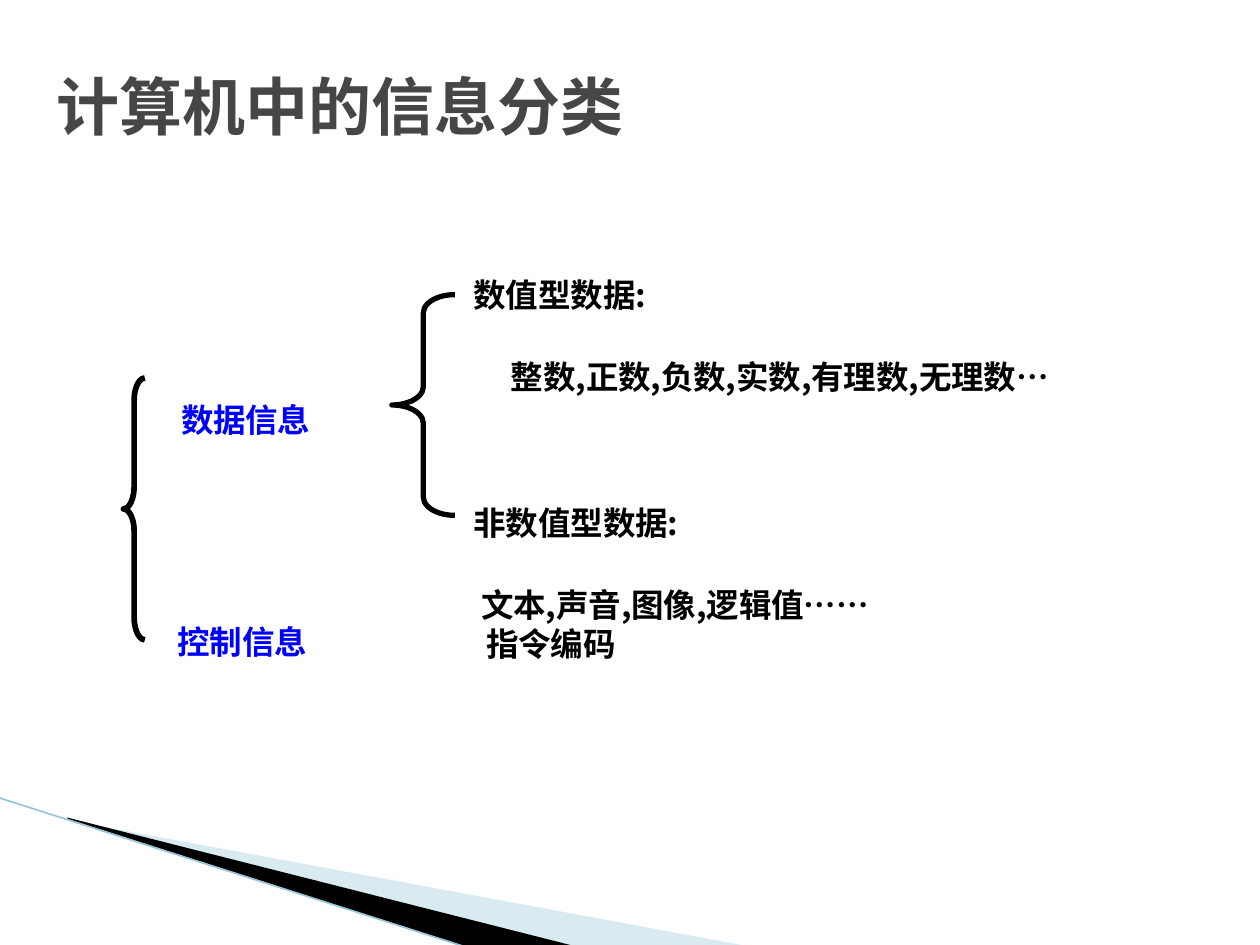
from dataclasses import dataclass

from lxml.etree import SubElement
from pptx import Presentation
from pptx.dml.color import RGBColor
from pptx.enum.shapes import MSO_CONNECTOR, MSO_SHAPE
from pptx.enum.text import MSO_ANCHOR, MSO_AUTO_SIZE
from pptx.oxml.ns import qn
from pptx.util import Cm, Pt


@dataclass(frozen=True)
class Theme:
    ink: str = "000000"
    title: str = "464646"
    category: str = "0000FF"
    pale: str = "A0CBDC"
    edge: str = "97C5D8"
    title_size: int = 36
    body_size: int = 32
    title_font: str = "Noto Sans Mono"
    body_font: str = "Noto Sans CJK SC"


def write_text(paragraph, text, *, size, color, font, subscript=False,
               line_spacing=None, indent=0):
    run = paragraph.add_run()
    run.text = text
    run.font.size = Pt(size)
    run.font.bold = True
    run.font.name = font
    run.font.color.rgb = RGBColor.from_string(color)
    run_properties = run._r.get_or_add_rPr()
    SubElement(run_properties, qn("a:ea")).set("typeface", font)
    if subscript:
        run_properties.set("baseline", "-25000")
        paragraph.space_before = Pt(0)
        spacing = paragraph._p.pPr.find(qn("a:spcBef"))
        spacing.remove(spacing[0])
        SubElement(spacing, qn("a:spcPct")).set("val", "50000")
    if line_spacing:
        paragraph.line_spacing = line_spacing
    if indent:
        paragraph._p.get_or_add_pPr().set("marL", str(Cm(indent)))


class SlideBuilder:
    """Draws styled elements on the current slide."""

    def __init__(self, slide, theme):
        self.slide = slide
        self.theme = theme

    def text_frame(self, box):
        frame = self.slide.shapes.add_textbox(*map(Cm, box)).text_frame
        frame.word_wrap = True
        return frame

    def title(self, text, box):
        frame = self.text_frame(box)
        frame.vertical_anchor = MSO_ANCHOR.MIDDLE
        write_text(frame.paragraphs[0], text, size=self.theme.title_size,
                   color=self.theme.title, font=self.theme.title_font)

    def label(self, lines, box, color, line_spacing=None):
        frame = self.text_frame(box)
        frame.auto_size = MSO_AUTO_SIZE.SHAPE_TO_FIT_TEXT
        for index, (text, indent) in enumerate(lines):
            paragraph = frame.add_paragraph() if index else frame.paragraphs[0]
            write_text(paragraph, text, size=self.theme.body_size, color=color,
                       font=self.theme.body_font, subscript=True,
                       line_spacing=line_spacing, indent=indent)

    def brace(self, box, curve, width):
        shape = self.slide.shapes.add_shape(MSO_SHAPE.LEFT_BRACE, *map(Cm, box))
        shape.shadow.inherit = False
        shape.adjustments[0] = curve
        shape.fill.background()
        shape.line.color.rgb = RGBColor.from_string(self.theme.ink)
        shape.line.width = Pt(width)

    def wedge(self, points, color, opacity=None):
        start, *rest = [(Cm(x), Cm(y)) for x, y in points]
        builder = self.slide.shapes.build_freeform(*start)
        builder.add_line_segments(rest, close=True)
        shape = builder.convert_to_shape()
        shape.shadow.inherit = False
        shape.line.fill.background()
        shape.fill.solid()
        shape.fill.fore_color.rgb = RGBColor.from_string(color)
        if opacity:
            fill_color = shape._element.spPr.find(qn("a:solidFill"))[0]
            SubElement(fill_color, qn("a:alpha")).set("val", str(opacity * 1000))

    def line(self, ends, color, width):
        connector = self.slide.shapes.add_connector(
            MSO_CONNECTOR.STRAIGHT, *map(Cm, ends))
        connector.line.color.rgb = RGBColor.from_string(color)
        connector.line.width = Pt(width)
        SubElement(connector._element.spPr, qn("a:effectLst"))


def main():
    theme = Theme()
    presentation = Presentation()
    presentation.slide_width, presentation.slide_height = Cm(25.4), Cm(19.05)
    slide = presentation.slides.add_slide(presentation.slide_layouts[6])
    builder = SlideBuilder(slide, theme)

    builder.wedge([(1.4, 16.54), (15.11, 19.08), (11.58, 19.08), (1.4, 16.51)],
                  theme.pale, opacity=40)
    builder.wedge([(1.35, 16.48), (11.61, 19.08), (9.45, 19.1), (1.37, 16.51)],
                  theme.ink)
    builder.line((-0.03, 16.08, 9.42, 19.1), theme.edge, 0.95)

    builder.title("计算机中的信息分类", (0.89, 0.53, 21.21, 3.18))
    builder.label([("数据信息", 0)], (3.4, 7.19, 5.08, 1.6), theme.category)
    builder.label([("控制信息", 0)], (3.33, 11.66, 6.78, 1.6), theme.category)
    builder.brace((7.9, 5.94, 1.27, 4.45), 0.29, 3)
    builder.brace((2.49, 7.62, 0.43, 5.28), 1.04, 3.25)

    details = [
        ([("数值型数据:", 0), ("整数,正数,负数,实数,有理数,无理数…", 0.75)],
         (9.3, 4.93, 15.8, 3.07)),
        ([("非数值型数据:", 0), ("文本,声音,图像,逻辑值……", 0.15)],
         (9.3, 9.53, 14, 3.07)),
        ([("指令编码", 0)], (9.55, 11.96, 9.53, 1.19)),
    ]
    for lines, box in details:
        builder.label(lines, box, theme.ink, line_spacing=0.7)

    presentation.save("out.pptx")


if __name__ == "__main__":
    main()
